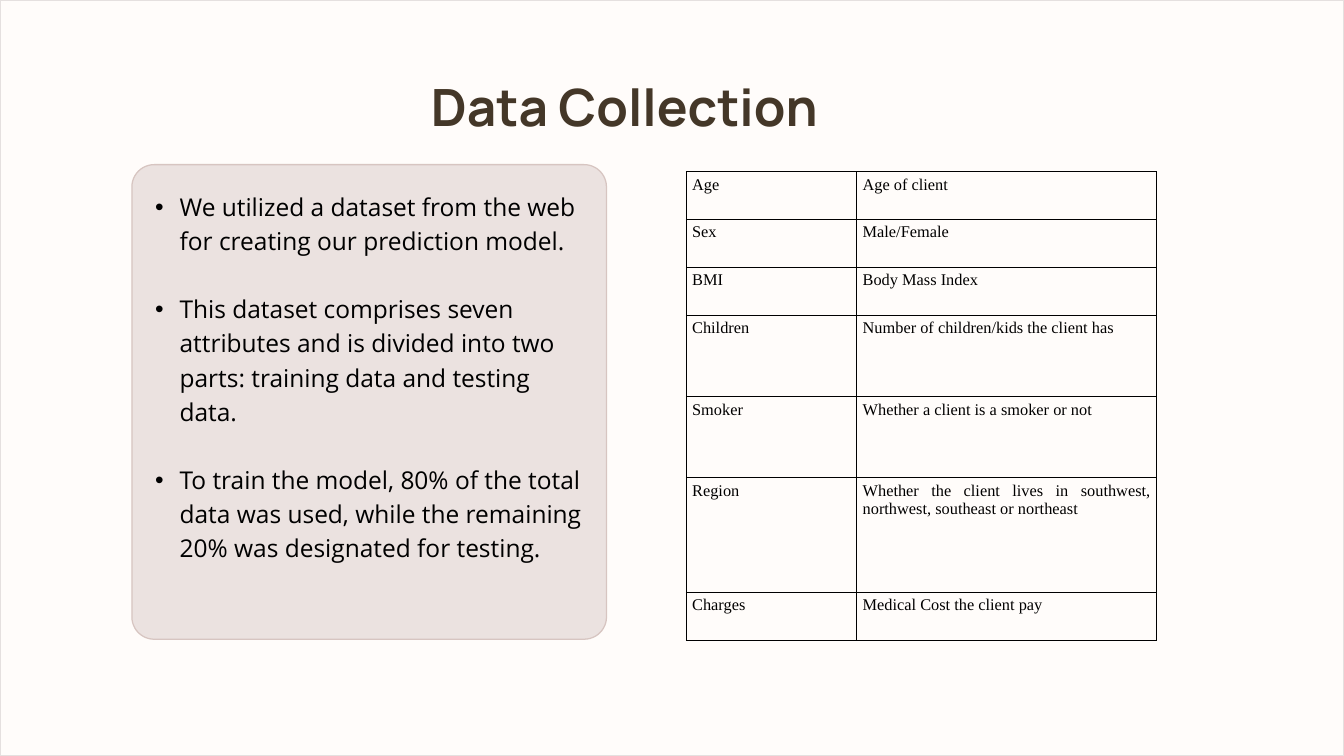
from lxml.etree import SubElement
from pptx import Presentation
from pptx.dml.color import RGBColor
from pptx.enum.shapes import MSO_SHAPE
from pptx.enum.text import MSO_ANCHOR, MSO_AUTO_SIZE, PP_ALIGN
from pptx.oxml.ns import qn
from pptx.util import Inches, Pt

BLACK = "000000"
LINE_PITCH = Pt(29.25)
ATTRIBUTES = [
    ("Age", "Age of client", 0.57),
    ("Sex", "Male/Female", 0.57),
    ("BMI", "Body Mass Index", 0.57),
    ("Children", "Number of children/kids the client has", 0.97),
    ("Smoker", "Whether a client is a smoker or not", 0.97),
    ("Region", "Whether the client lives in southwest, northwest, southeast or northeast", 1.36),
    ("Charges", "Medical Cost the client pay", 0.57),
]
POINTS = [
    "We utilized a dataset from the web for creating our prediction model.",
    "This dataset comprises seven attributes and is divided into two parts: training data and testing data.",
    "To train the model, 80% of the total data was used, while the remaining 20% was designated for testing.",
]


def color(value):
    return RGBColor.from_string(value)


def write(paragraph, text, size, font, fill=BLACK, bold=False, align=PP_ALIGN.LEFT,
          spacing=None, before=0, bullet=False):
    """Fill a paragraph with formatted text, with a hanging bullet if asked."""
    paragraph.text = text
    paragraph.alignment = align
    paragraph.line_spacing = spacing
    paragraph.space_before = before
    if bullet:
        properties = paragraph._p.get_or_add_pPr()
        properties.set("marL", str(Inches(0.31)))
        properties.set("indent", str(Inches(-0.29)))
        SubElement(properties, qn("a:buFont"), typeface="Arial")
        SubElement(properties, qn("a:buChar"), char="•")
    run_font = paragraph.runs[0].font
    run_font.size = Pt(size)
    run_font.name = font
    run_font.bold = bold
    run_font.color.rgb = color(fill)


presentation = Presentation()
presentation.slide_width = Inches(16)
presentation.slide_height = Inches(9)
slide = presentation.slides.add_slide(presentation.slide_layouts[5])

# Backdrop and card
for kind, left, top, width, height, fill, line in [
    (MSO_SHAPE.RECTANGLE, 0, 0, 16, 9, "FFFCFA", "E5E0DF"),
    (MSO_SHAPE.ROUNDED_RECTANGLE, 1.57, 1.96, 5.65, 5.65, "EBE2E0", "D7C5C1"),
]:
    shape = slide.shapes.add_shape(kind, Inches(left), Inches(top), Inches(width), Inches(height))
    shape.shadow.inherit = False
    shape.fill.solid()
    shape.fill.fore_color.rgb = color(fill)
    shape.line.color.rgb = color(line)
    shape.line.width = Pt(1.09)
shape.adjustments[0] = 0.047

# Title, brought in front of the backdrop
title = slide.shapes.title
title.element.getparent().append(title.element)
title.left, title.top, title.width, title.height = Inches(5.03), Inches(0.63), Inches(5.95), Inches(0.46)
title.text_frame.vertical_anchor = MSO_ANCHOR.TOP
title.text_frame.auto_size = MSO_AUTO_SIZE.NONE
write(title.text_frame.paragraphs[0], "Data Collection", 44, "Manrope",
      fill="443728", bold=True, spacing=Pt(68))

# Bullet points
box = slide.shapes.add_textbox(Inches(1.73), Inches(2.18), Inches(5.31), Inches(4.24))
frame = box.text_frame
frame.word_wrap = True
for index, point in enumerate(POINTS):
    paragraph = frame.add_paragraph() if index else frame.paragraphs[0]
    write(paragraph, point, 21, "Open Sans", spacing=LINE_PITCH,
          before=LINE_PITCH if index else 0, bullet=True)

# Attribute table
table = slide.shapes.add_table(len(ATTRIBUTES), 2, Inches(8.17), Inches(2.04),
                               Inches(5.6), Inches(5.58)).table
table.first_row = table.horz_banding = False
table.columns[0].width = Inches(2.03)
table.columns[1].width = Inches(3.57)
for row, (name, meaning, height) in zip(table.rows, ATTRIBUTES):
    row.height = Inches(height)
    for cell, text in zip(row.cells, (name, meaning)):
        cell.margin_left = cell.margin_right = Inches(0.07)
        cell.margin_top = cell.margin_bottom = Inches(0.05)
        write(cell.text_frame.paragraphs[0], text, 14, "Times New Roman", align=PP_ALIGN.JUSTIFY)
        properties = cell._tc.get_or_add_tcPr()
        for side in ("a:lnL", "a:lnR", "a:lnT", "a:lnB"):
            border = SubElement(properties, qn(side), w=str(Pt(0.75)))
            SubElement(SubElement(border, qn("a:solidFill")), qn("a:srgbClr"), val=BLACK)
        cell.fill.background()

presentation.save("out.pptx")
